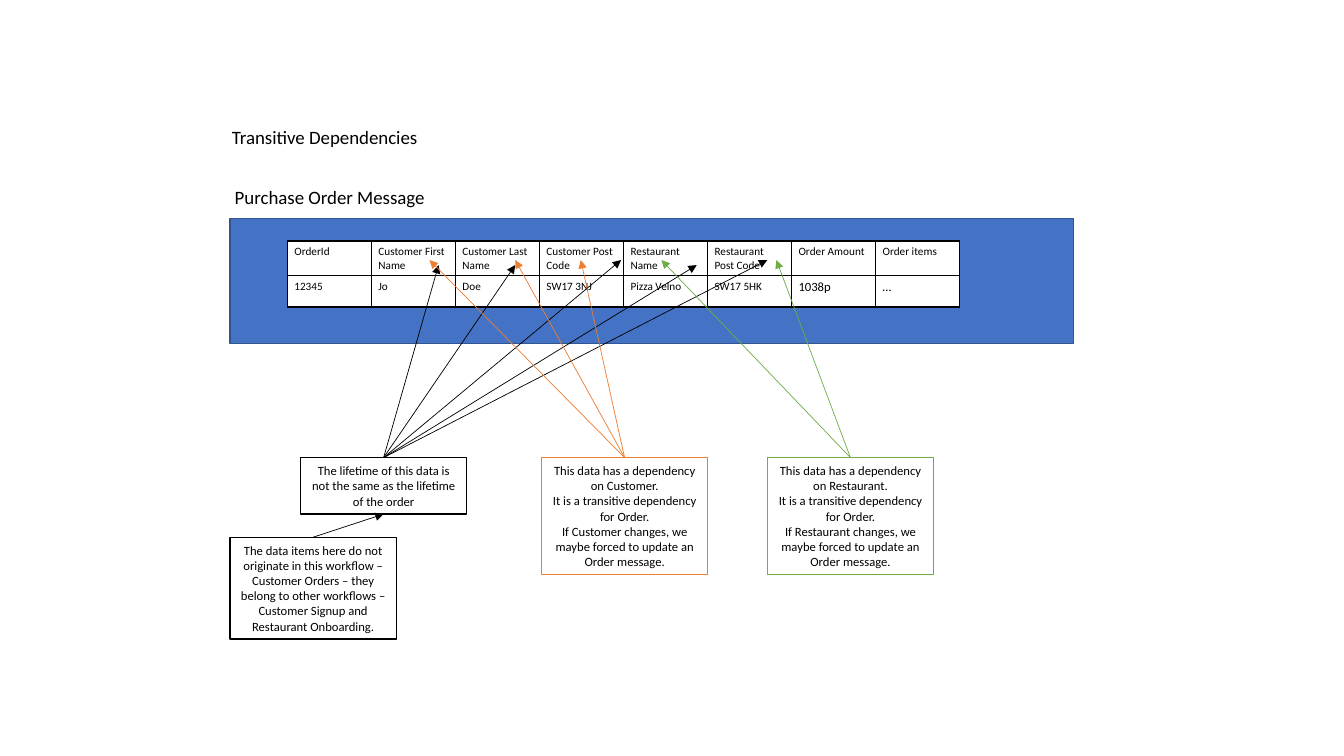
from lxml import etree
from pptx import Presentation
from pptx.dml.color import RGBColor
from pptx.enum.shapes import MSO_CONNECTOR, MSO_SHAPE
from pptx.enum.text import MSO_ANCHOR, MSO_AUTO_SIZE, PP_ALIGN
from pptx.oxml.ns import qn
from pptx.util import Inches, Pt

RECTANGLE = MSO_SHAPE.RECTANGLE
STRAIGHT = MSO_CONNECTOR.STRAIGHT
MIDDLE = MSO_ANCHOR.MIDDLE
GROW = MSO_AUTO_SIZE.SHAPE_TO_FIT_TEXT
LEFT, CENTER = PP_ALIGN.LEFT, PP_ALIGN.CENTER
TOP_SIDE, BOTTOM_SIDE = 0, 2

BLACK, WHITE = "000000", "FFFFFF"
BLUE, DARK_BLUE = "4472C4", "325491"
ORANGE, GREEN = "ED7D31", "70AD47"

ORDER_ROWS = [
    ["OrderId", "Customer First Name", "Customer Last Name", "Customer Post Code",
     "Restaurant Name", "Restaurant Post Code", "Order Amount", "Order items"],
    ["12345", "Jo", "Doe", "SW17 3NJ", "Pizza Velno", "SW17 5HK", "1038p", "…"],
]
LARGER_VALUES = ("1038p", "…")


def dependency_text(entity):
    return [
        f"This data has a dependency on {entity}.",
        "It is a transitive dependency for Order.",
        f"If {entity} changes, we maybe forced to update an Order message.",
    ]


def color(value):
    return RGBColor.from_string(value)


def set_attributes(target, values):
    for name, value in values.items():
        setattr(target, name, value)


class SlideBuilder:
    font_name = "Calibri"
    note_size = 9
    note_width = 1.65

    def __init__(self, slide):
        self.slide = slide

    def fill_text(self, frame, lines, size, alignment=LEFT):
        for index, line in enumerate(lines):
            paragraph = frame.paragraphs[0] if index == 0 else frame.add_paragraph()
            paragraph.alignment = alignment
            run = paragraph.add_run()
            run.text = line
            set_attributes(run.font, {"name": self.font_name, "size": Pt(size), "bold": False})
            run.font.color.rgb = color(BLACK)

    def heading(self, text, left, top, width, height, inset_x, inset_y):
        shape = self.slide.shapes.add_textbox(
            Inches(left), Inches(top), Inches(width), Inches(height))
        frame = shape.text_frame
        set_attributes(frame, {
            "word_wrap": True, "auto_size": GROW,
            "margin_left": Inches(inset_x), "margin_right": Inches(inset_x),
            "margin_top": Inches(inset_y), "margin_bottom": Inches(inset_y),
        })
        self.fill_text(frame, [text], 13.5)

    def box(self, left, top, width, height, line_color, fill_color=None):
        shape = self.slide.shapes.add_shape(
            RECTANGLE, Inches(left), Inches(top), Inches(width), Inches(height))
        shape.shadow.inherit = False
        if fill_color:
            shape.fill.solid()
            shape.fill.fore_color.rgb = color(fill_color)
        else:
            shape.fill.background()
        shape.line.color.rgb = color(line_color)
        shape.line.width = Pt(1)
        return shape

    def note(self, lines, left, top, height, line_color):
        shape = self.box(left, top, self.note_width, height, line_color)
        set_attributes(shape.text_frame, {
            "word_wrap": True, "auto_size": GROW, "vertical_anchor": MIDDLE})
        self.fill_text(shape.text_frame, lines, self.note_size, CENTER)
        return shape

    def arrow(self, source, tip, line_color, target=None):
        start_x = source.left + source.width // 2
        connector = self.slide.shapes.add_connector(
            STRAIGHT, start_x, source.top, Inches(tip[0]), Inches(tip[1]))
        connector.begin_connect(source, TOP_SIDE)
        if target is not None:
            connector.end_connect(target, BOTTOM_SIDE)
        connector.line.color.rgb = color(line_color)
        connector.line.width = Pt(0.5)
        properties = connector._element.spPr
        etree.SubElement(properties.find(qn("a:ln")), qn("a:tailEnd"), type="triangle")
        etree.SubElement(properties, qn("a:effectLst"))

    def border(self, cell):
        properties = cell._tc.get_or_add_tcPr()
        for side in ("a:lnL", "a:lnR", "a:lnT", "a:lnB"):
            line = etree.SubElement(properties, qn(side), w=str(Pt(1)))
            fill = etree.SubElement(line, qn("a:solidFill"))
            etree.SubElement(fill, qn("a:srgbClr"), val=BLACK)

    def table(self, rows, left, top, width, row_heights):
        frame = self.slide.shapes.add_table(
            len(rows), len(rows[0]), Inches(left), Inches(top),
            Inches(width), Inches(sum(row_heights)))
        table = frame.table
        set_attributes(table, {"first_row": False, "horz_banding": False})
        for row, height in zip(table.rows, row_heights):
            row.height = Inches(height)
        for row, values in zip(table.rows, rows):
            for cell, value in zip(row.cells, values):
                set_attributes(cell, {
                    "margin_left": Inches(0.07), "margin_right": Inches(0.07),
                    "margin_top": Inches(0.04), "margin_bottom": Inches(0.04),
                })
                self.border(cell)
                cell.fill.solid()
                cell.fill.fore_color.rgb = color(WHITE)
                self.fill_text(cell.text_frame, [value], 9 if value in LARGER_VALUES else 8)


def main():
    presentation = Presentation()
    presentation.slide_width = Inches(13.33)
    presentation.slide_height = Inches(7.5)
    builder = SlideBuilder(presentation.slides.add_slide(presentation.slide_layouts[6]))

    builder.heading("Transitive Dependencies", 2.23, 1.18, 3.02, 0.38, 0.07, 0.07)
    builder.heading("Purchase Order Message", 2.23, 1.79, 2.23, 0.33, 0.1, 0.05)
    builder.box(2.28, 2.17, 8.37, 1.24, DARK_BLUE, BLUE)
    builder.table(ORDER_ROWS, 2.85, 2.39, 6.67, [0.34, 0.31])

    lifetime = builder.note(
        ["The lifetime of this data is not the same as the lifetime of the order"],
        2.98, 4.54, 0.56, BLACK)
    customer = builder.note(dependency_text("Customer"), 5.37, 4.54, 1.16, ORANGE)
    restaurant = builder.note(dependency_text("Restaurant"), 7.61, 4.54, 1.16, GREEN)
    origin = builder.note(
        ["The data items here do not originate in this workflow – Customer Orders – they "
         "belong to other workflows – Customer Signup and Restaurant Onboarding."],
        2.28, 5.33, 1.01, BLACK)

    arrow_groups = [
        (lifetime, BLACK, [(4.35, 2.63), (5.11, 2.63), (6.16, 2.58), (6.91, 2.63), (7.61, 2.58)]),
        (customer, ORANGE, [(5.11, 2.58), (4.26, 2.58), (5.76, 2.58)]),
        (restaurant, GREEN, [(6.56, 2.58), (7.7, 2.58)]),
    ]
    for source, line_color, tips in arrow_groups:
        for tip in tips:
            builder.arrow(source, tip, line_color)
    builder.arrow(origin, (3.81, 5.1), BLACK, lifetime)

    presentation.save("out.pptx")


if __name__ == "__main__":
    main()
